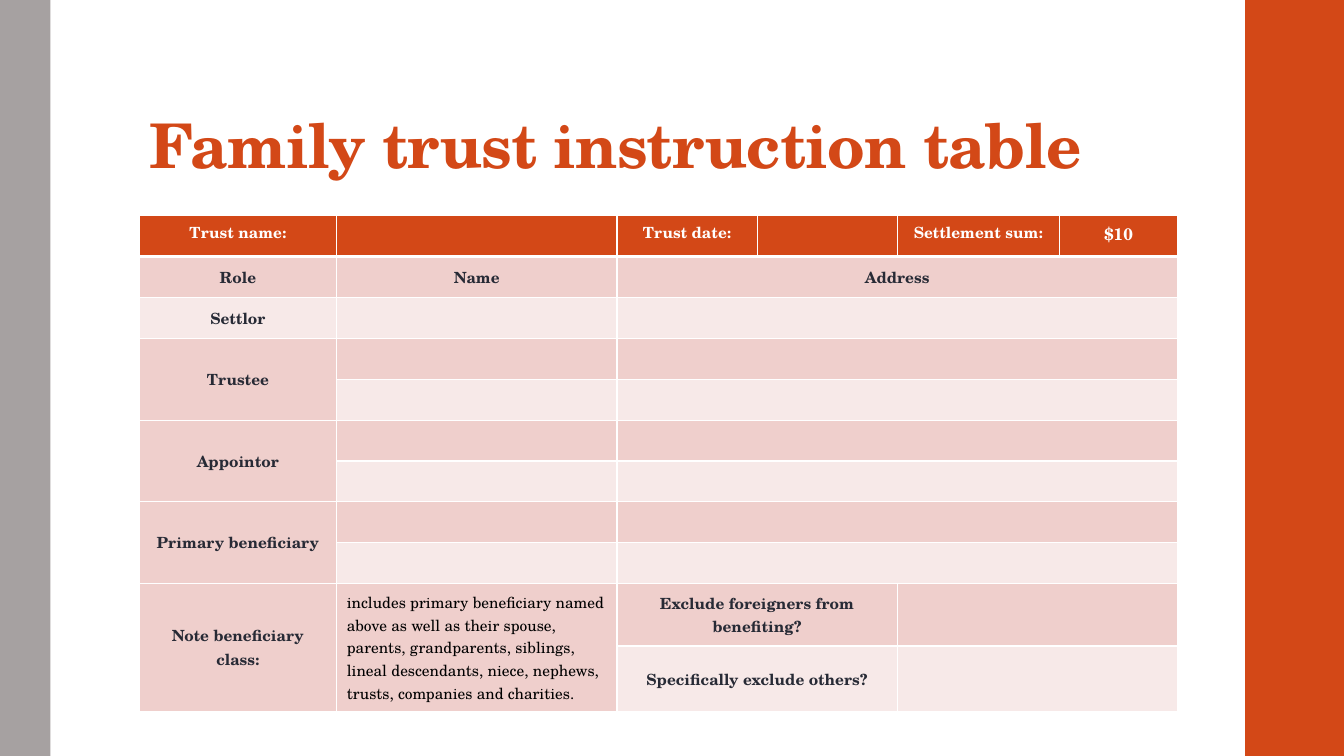
"""Build a slide with a family trust instruction table."""
import pptx
import pptx.util
import pptx.dml.color
import pptx.enum.shapes
import pptx.enum.text
import pptx.oxml
import pptx.oxml.ns
import lxml.etree

Inches, Pt = pptx.util.Inches, pptx.util.Pt
RGB = pptx.dml.color.RGBColor.from_string
ALIGN, ANCHOR = pptx.enum.text.PP_ALIGN, pptx.enum.text.MSO_ANCHOR
FONT = "TeX Gyre Schola"
COLORS = {"accent": "D34817", "grey": "A6A1A1", "white": "FFFFFF", "black": "000000",
          "ink": "272A35", "dark": "EFCFCC", "light": "F7E9E8"}
W, H = 13.33, 7.5


def write(tf, text, size=11, color="ink", bold=True, align=ALIGN.CENTER):
    p = tf.paragraphs[0]
    p.alignment = align
    r = p.add_run()
    r.text = text
    r.font.name, r.font.size, r.font.bold = FONT, Pt(size), bold
    r.font.color.rgb = RGB(COLORS[color])
    return p, r


def add_border(cell, side, width):
    ln = lxml.etree.SubElement(cell._tc.get_or_add_tcPr(), pptx.oxml.ns.qn("a:ln" + side), w=str(Pt(width)))
    fill = lxml.etree.SubElement(ln, pptx.oxml.ns.qn("a:solidFill"))
    lxml.etree.SubElement(fill, pptx.oxml.ns.qn("a:srgbClr"), val=COLORS["white"])


prs = pptx.Presentation()
prs.slide_width, prs.slide_height = Inches(W), Inches(H)
s = prs.slides.add_slide(prs.slide_layouts[6])

for left, width, color in [(12.35, W - 12.35, "accent"), (0, 0.5, "grey")]:
    sp = s.shapes.add_shape(pptx.enum.shapes.MSO_SHAPE.RECTANGLE, Inches(left), 0, Inches(width), prs.slide_height)
    sp.shadow.inherit = False
    sp.fill.solid()
    sp.fill.fore_color.rgb = RGB(COLORS[color])
    sp.line.fill.background()

sp = s.shapes.add_textbox(Inches(1.38), Inches(0.32), Inches(10.6), Inches(1.53))
tf = sp.text_frame
tf.word_wrap = True
tf.vertical_anchor = ANCHOR.BOTTOM
tf.margin_top, tf.margin_bottom = Inches(0.03), Inches(0.05)
p, r = write(tf, "Family trust instruction table", size=44, color="accent", align=ALIGN.LEFT)
p.line_spacing = 0.9
r.font._element.set("spc", "-50")

col_widths = [1.96, 2.78, 1.39, 1.39, 1.61, 1.17]
row_heights = [3.65 / 9] * 9 + [0.62, 0.65]
table = s.shapes.add_table(len(row_heights), len(col_widths), Inches(1.38), Inches(2.14),
                           Inches(sum(col_widths)), Inches(sum(row_heights))).table
table.horz_banding = False
for col, width in zip(table.columns, col_widths):
    col.width = Inches(width)
for row, height in zip(table.rows, row_heights):
    row.height = Inches(height)

texts = {
    (0, 0): "Trust name:", (0, 2): "Trust date:", (0, 4): "Settlement sum:", (0, 5): "$10",
    (1, 0): "Role", (1, 1): "Name", (1, 2): "Address", (2, 0): "Settlor", (3, 0): "Trustee",
    (5, 0): "Appointor", (7, 0): "Primary beneficiary", (9, 0): "Note beneficiary class:",
    (9, 1): "includes primary beneficiary named above as well as their spouse, parents, grandparents, "
            "siblings, lineal descendants, niece, nephews, trusts, companies and charities.",
    (9, 2): "Exclude foreigners from benefiting?", (10, 2): "Specifically exclude others?",
}
formats = {(0, 5): {"size": 12}, (9, 1): {"color": "black", "bold": False, "align": ALIGN.LEFT}}

for i in range(len(row_heights)):
    for j in range(len(col_widths)):
        cell = table.cell(i, j)
        for side in "LRTB":
            add_border(cell, side, 3 if (i, side) in [(0, "B"), (1, "T")] else 1)
        cell.fill.solid()
        cell.fill.fore_color.rgb = RGB(COLORS["accent" if i == 0 else "dark" if i % 2 else "light"])
        if (i, j) not in texts:
            cell.text_frame.paragraphs[0]._p.get_or_add_endParaRPr().set("sz", "1100")
            continue
        if i > 0:
            cell.vertical_anchor = ANCHOR.MIDDLE
            cell.margin_top = cell.margin_bottom = Inches(0.07)
        base = {"color": "white" if i == 0 else "ink"}
        write(cell.text_frame, texts[i, j], **{**base, **formats.get((i, j), {})})

for i in range(1, 9):
    table.cell(i, 2).merge(table.cell(i, 5))
for i in (9, 10):
    for j in (2, 4):
        table.cell(i, j).merge(table.cell(i, j + 1))
for i, j in [(3, 0), (5, 0), (7, 0), (9, 0), (9, 1)]:
    table.cell(i, j).merge(table.cell(i + 1, j))

prs.save("out.pptx")
